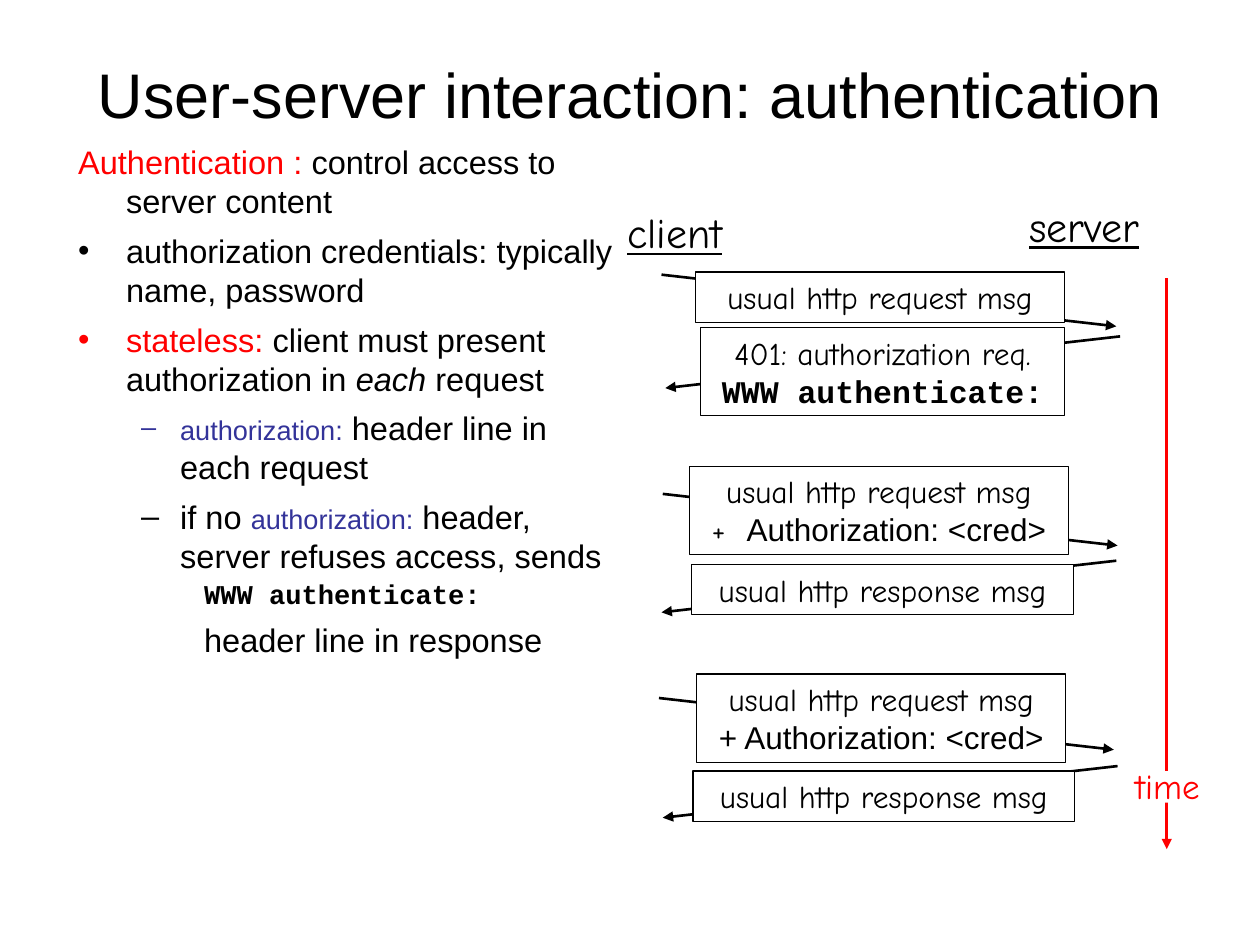
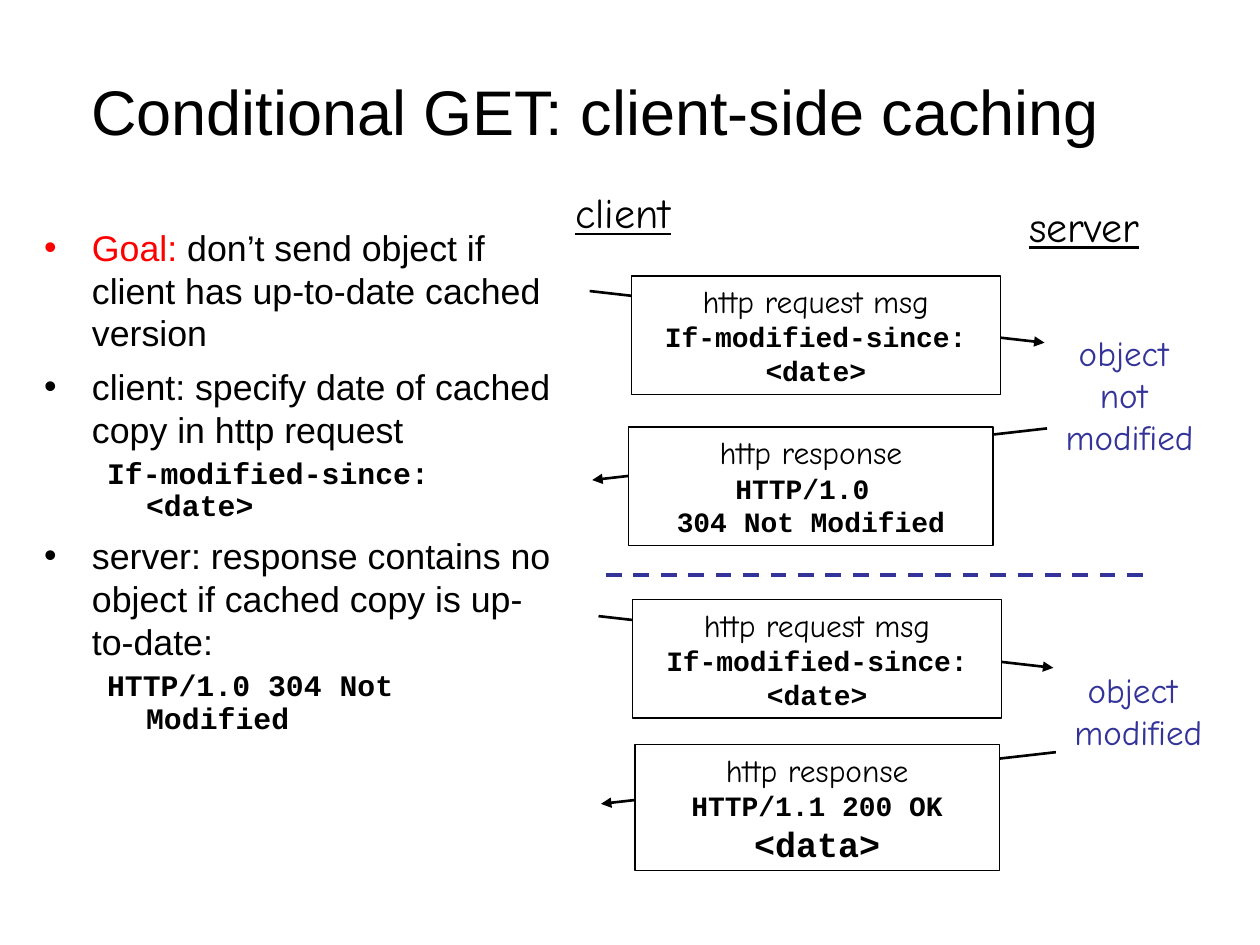
from dataclasses import dataclass
from typing import NamedTuple, Optional

from lxml.etree import SubElement
from pptx import Presentation
from pptx.dml.color import RGBColor
from pptx.enum.dml import MSO_LINE
from pptx.enum.shapes import MSO_CONNECTOR, MSO_SHAPE
from pptx.enum.text import MSO_ANCHOR, MSO_AUTO_SIZE, PP_ALIGN
from pptx.oxml.ns import qn
from pptx.util import Inches, Pt

BLACK = RGBColor(0, 0, 0)
WHITE = RGBColor(255, 255, 255)
RED = RGBColor(255, 0, 0)
INDIGO = RGBColor(0x33, 0x33, 0x99)
SANS, HAND, CODE = "Arial", "Comic Neue", "Courier New"
ARROW_RUN, ARROW_DROP = 3.61, 0.41


class Box(NamedTuple):
    left: float
    top: float
    width: float
    height: float

    def lengths(self) -> list:
        return [Inches(v) for v in self]


class Run(NamedTuple):
    text: str
    size: float
    color: RGBColor = BLACK
    font: str = SANS
    bold: bool = False
    italic: bool = False
    underline: bool = False


@dataclass
class Item:
    """A paragraph of the body list."""
    runs: list[Run]
    level: int = 0
    bullet: str = ""
    bullet_color: RGBColor = BLACK
    spacing: float = 1.0
    before: float = 6


@dataclass
class Message:
    """A labelled arrow between client and server."""
    arrow_left: float
    arrow_top: float
    box: Box
    lines: list[list[Run]]
    to_server: bool = True


@dataclass
class Label:
    box: Box
    lines: list[str]
    size: float
    color: RGBColor = BLACK
    underline: bool = False


INDENTS = [(0.38, -0.38), (0.81, -0.31), (1.25, -0.25)]


def hand(text: str) -> list[Run]:
    return [Run(text, 18, font=HAND)]


def code(text: str, size: float) -> list[Run]:
    return [Run(text, size, font=CODE, bold=True)]


def add_runs(p, runs: list[Run]) -> None:
    for run in runs:
        r = p.add_run()
        r.text = run.text
        f = r.font
        f.name, f.size = run.font, Pt(run.size)
        f.bold, f.italic, f.underline = run.bold, run.italic, run.underline
        f.color.rgb = run.color


def add_centred_lines(tf, lines: list[list[Run]]) -> None:
    for i, runs in enumerate(lines):
        p = tf.add_paragraph() if i else tf.paragraphs[0]
        p.alignment = PP_ALIGN.CENTER
        add_runs(p, runs)


def place(s, box: Box) -> None:
    s.left, s.top, s.width, s.height = box.lengths()


def set_bullet(p, item: Item) -> None:
    margin, indent = INDENTS[item.level]
    pPr = p._p.get_or_add_pPr()
    pPr.set("marL", str(Inches(margin)))
    pPr.set("indent", str(Inches(indent)))
    if not item.bullet:
        SubElement(pPr, qn("a:buNone"))
        return
    color = SubElement(pPr, qn("a:buClr"))
    SubElement(color, qn("a:srgbClr"), val=str(item.bullet_color))
    SubElement(pPr, qn("a:buFont"), typeface=SANS)
    SubElement(pPr, qn("a:buChar"), char=item.bullet)


def add_text_slide(prs, title: str, title_box: Box, body_box: Box, items: list[Item]):
    slide = prs.slides.add_slide(prs.slide_layouts[1])
    heading, body = slide.placeholders
    place(heading, title_box)
    tf = heading.text_frame
    tf.auto_size = MSO_AUTO_SIZE.NONE
    tf.vertical_anchor = MSO_ANCHOR.MIDDLE
    add_centred_lines(tf, [[Run(title, 36)]])

    place(body, body_box)
    tf = body.text_frame
    tf.auto_size = MSO_AUTO_SIZE.NONE
    for i, item in enumerate(items):
        p = tf.add_paragraph() if i else tf.paragraphs[0]
        p.level = item.level
        p.line_spacing, p.space_before = item.spacing, Pt(item.before)
        set_bullet(p, item)
        add_runs(p, item.runs)
    return slide


def add_line(slide, start: tuple[float, float], end: tuple[float, float],
             color: RGBColor = BLACK, width: float = 1.5, arrow: bool = True):
    line = slide.shapes.add_connector(
        MSO_CONNECTOR.STRAIGHT, *[Inches(v) for v in (*start, *end)])
    line.line.color.rgb, line.line.width = color, Pt(width)
    if arrow:
        SubElement(line.line._get_or_add_ln(), qn("a:tailEnd"), type="triangle")
    SubElement(line._element.spPr, qn("a:effectLst"))
    return line


def add_rect(slide, box: Box, outline: Optional[RGBColor] = None):
    s = slide.shapes.add_shape(MSO_SHAPE.RECTANGLE, *box.lengths())
    s.shadow.inherit = False
    s.fill.solid()
    s.fill.fore_color.rgb = WHITE
    if outline is None:
        s.line.fill.background()
    else:
        s.line.color.rgb, s.line.width = outline, Pt(0.75)
    return s


def add_message(slide, msg: Message) -> None:
    right = msg.arrow_left + ARROW_RUN
    start, end = (msg.arrow_left, right) if msg.to_server else (right, msg.arrow_left)
    add_line(slide, (start, msg.arrow_top), (end, msg.arrow_top + ARROW_DROP))
    tf = add_rect(slide, msg.box, BLACK).text_frame
    tf.word_wrap = True
    tf.vertical_anchor = MSO_ANCHOR.TOP
    add_centred_lines(tf, msg.lines)


def add_label(slide, label: Label) -> None:
    """Add centred text with no side margins, so each line has room to stay whole."""
    tf = slide.shapes.add_textbox(*label.box.lengths()).text_frame
    tf.word_wrap = True
    tf.auto_size = MSO_AUTO_SIZE.NONE
    tf.margin_left = tf.margin_right = Inches(0)
    add_centred_lines(tf, [[Run(t, label.size, label.color, HAND, underline=label.underline)]
                           for t in label.lines])


def add_exchange(slide, client_at: tuple[float, float], messages: list[Message]) -> None:
    """Draw the two column heads and the messages between them."""
    add_label(slide, Label(Box(*client_at, 0.95, 0.5), ["client"], 24, underline=True))
    add_label(slide, Label(Box(8.07, 1.54, 1.07, 0.5), ["server"], 24, underline=True))
    for msg in messages:
        add_message(slide, msg)


def build_authentication(prs) -> None:
    size, small = 18.6, 15.5
    header = Run("authorization:", small, INDIGO)
    items = [
        Item([Run("Authentication :", size, RED),
              Run(" control access to server content", size)]),
        Item([Run("authorization credentials: typically name, password", size)], bullet="•"),
        Item([Run("stateless:", size, RED),
              Run(" client must present authorization in ", size),
              Run("each", size, italic=True), Run(" request", size)],
             bullet="•", bullet_color=RED),
        Item([header, Run(" header line in each request", size)],
             level=1, bullet="–", bullet_color=INDIGO),
        Item([Run("if no ", size), header,
              Run(" header, server refuses access, sends", size)], level=1, bullet="–"),
        Item(code("WWW authenticate:", small), level=2, spacing=0.8, before=5),
        Item([Run("header line in response", size)], level=2),
    ]
    slide = add_text_slide(prs, "User-server interaction: authentication",
                           Box(0.5, 0.3, 9, 0.88), Box(0.52, 1.08, 4.47, 4.71), items)

    request, response = hand("usual http request msg"), hand("usual http response msg")
    credentials = Run("Authorization: <cred>", 18)
    add_exchange(slide, (4.88, 1.59), [
        Message(5.25, 2.18, Box(5.52, 2.16, 2.93, 0.4), [request]),
        Message(5.28, 2.67, Box(5.56, 2.6, 2.89, 0.7),
                [hand("401: authorization req."), code("WWW authenticate:", 18)], False),
        Message(5.26, 3.92, Box(5.47, 3.7, 3.01, 0.7),
                [request, hand("+  ") + [credentials]]),
        Message(5.25, 4.45, Box(5.49, 4.48, 3.03, 0.4), [response], False),
        Message(5.23, 5.54, Box(5.53, 5.35, 2.93, 0.7),
                [request, [Run("+ ", 18), credentials]]),
        Message(5.26, 6.08, Box(5.5, 6.12, 3.03, 0.4), [response], False),
    ])
    add_line(slide, (9.26, 2.21), (9.26, 6.74), RED)
    add_rect(slide, Box(8.97, 6.12, 0.63, 0.25))
    add_label(slide, Label(Box(8.91, 6.02, 0.71, 0.44), ["time"], 20, RED))


def build_conditional_get(prs) -> None:
    size = 20.4
    items = [
        Item([Run("Goal:", size, RED),
              Run(" don’t send object if client has up-to-date cached version", size)],
             bullet="•", bullet_color=RED),
        Item([Run("client: specify date of cached copy in http request", size)], bullet="•"),
        Item(code("If-modified-since: <date>", 17), level=1, spacing=0.9, before=5),
        Item([Run("server: response contains no object if cached copy is up-to-date:", size)],
             bullet="•"),
        Item(code("HTTP/1.0 304 Not Modified", 17), level=1, spacing=0.9, before=5),
    ]
    slide = add_text_slide(prs, "Conditional GET: client-side caching",
                           Box(0.37, 0.25, 8.71, 1.25), Box(0.25, 1.74, 4.25, 4.71), items)

    request = [hand("http request msg"), code("If-modified-since: <date>", 16)]
    response = hand("http response")
    add_exchange(slide, (4.47, 1.43), [
        Message(4.68, 2.31, Box(5.01, 2.19, 2.93, 0.94), request),
        Message(4.7, 3.4, Box(4.99, 3.39, 2.89, 0.94),
                [response, code("HTTP/1.0 ", 16), code("304 Not Modified", 16)], False),
        Message(4.75, 4.89, Box(5.02, 4.76, 2.93, 0.94), request),
        Message(4.77, 5.97, Box(5.04, 5.91, 2.89, 1),
                [response, code("HTTP/1.1 200 OK", 16), code("<data>", 20)], False),
    ])
    divider = add_line(slide, (4.81, 4.56), (9.08, 4.56), INDIGO, 2.25, arrow=False)
    divider.line.dash_style = MSO_LINE.DASH
    add_label(slide, Label(Box(8.36, 2.58, 1.21, 1.1),
                           ["object ", "not ", "modified"], 20, INDIGO))
    add_label(slide, Label(Box(8.43, 5.26, 1.21, 0.77), ["object ", "modified"], 20, INDIGO))


def main() -> None:
    prs = Presentation()
    prs.slide_width, prs.slide_height = Inches(10), Inches(7.5)
    build_authentication(prs)
    build_conditional_get(prs)
    prs.save("out.pptx")


if __name__ == "__main__":
    main()
